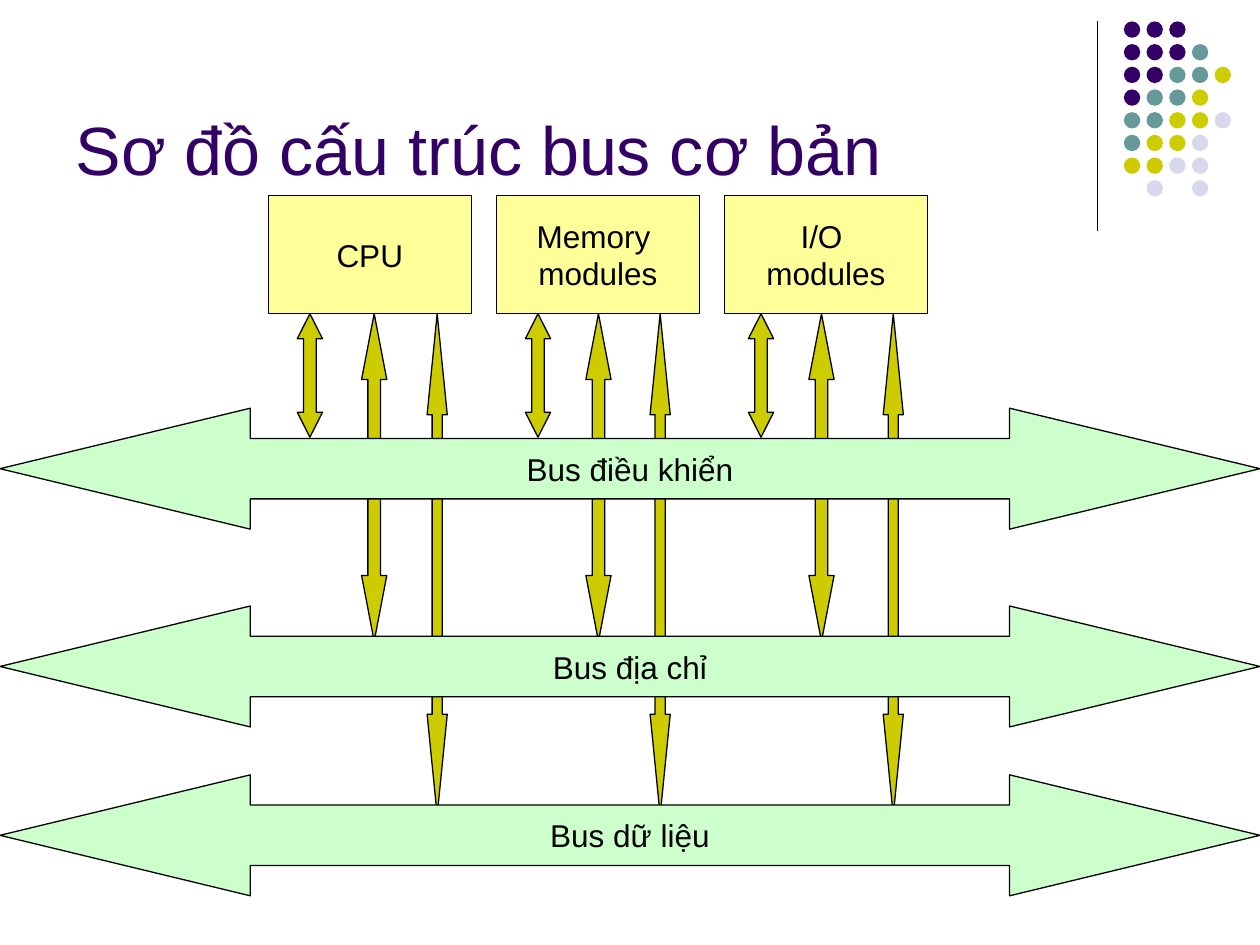
"""Build the slide on the basic bus structure of a computer."""
from dataclasses import dataclass

from lxml.etree import SubElement
from pptx import Presentation
from pptx.dml.color import RGBColor
from pptx.enum.shapes import MSO_CONNECTOR, MSO_SHAPE
from pptx.enum.text import MSO_ANCHOR, MSO_AUTO_SIZE, PP_ALIGN
from pptx.oxml.ns import qn
from pptx.util import Inches, Pt


@dataclass(frozen=True)
class Theme:
    """Colours, font and sizes."""
    font: str = "Arial"
    head: int = 39
    body: int = 18
    edge: float = 0.75
    ink: str = "000000"
    title: str = "330066"
    box: str = "FFFF99"
    bus: str = "CCFFCC"
    spoke: str = "CCCC00"


THEME = Theme()
WIDE, HIGH = 10, 7.5
TITLE = "Sơ đồ cấu trúc bus cơ bản"
MODULES = ["CPU", "Memory \nmodules", "I/O \nmodules"]
BUSES = [("Bus điều khiển", 3.24), ("Bus địa chỉ", 4.81), ("Bus dữ liệu", 6.15)]
SPOKES = {
    "control": dict(lefts=(2.36, 4.17, 5.94), size=(0.2, 0.98), tip=0.99),
    "address": dict(lefts=(2.87, 4.65, 6.42), size=(0.2, 2.6), tip=2.61),
    "data": dict(lefts=(3.39, 5.16, 7.01), size=(0.16, 3.98), tip=5.01),
}
DOTS = ["PPP", "PPPT", "PPTTY", "PTTY", "TTYYL", "TYYL", "YYLL", " L L"]
TINTS = {"P": "330066", "T": "669999", "Y": "CCCC00", "L": "D8D8EC"}
BOX = dict(left=2.13, top=1.55, wide=1.61, high=0.94, step=1.81)
DOT = dict(left=8.92, top=0.17, size=0.13, step=0.18)
BUS_HIGH, BUS_TIP, SHAFT = 0.96, 2.07, 0.5


def apply(obj, values):
    for name, value in values.items():
        setattr(obj, name, value)


def style(frame, size, color, align):
    for para in frame.paragraphs:
        para.alignment = align
        for run in para.runs:
            apply(run.font, dict(name=THEME.font, size=Pt(size)))
            run.font.color.rgb = RGBColor.from_string(color)


def set_tip(shape, tip):
    guides = shape.element.spPr.find(qn("a:prstGeom")).get_or_add_avLst()
    for guide in list(guides):
        guides.remove(guide)
    for name, share in (("adj1", SHAFT), ("adj2", tip)):
        SubElement(guides, qn("a:gd"), name=name,
                   fmla=f"val {round(share * 100000)}")


def draw(slide, kind, area, fill, text="", tip=None, edge=True):
    shape = slide.shapes.add_shape(kind, *map(Inches, area))
    shape.shadow.inherit = False
    shape.fill.solid()
    shape.fill.fore_color.rgb = RGBColor.from_string(fill)
    if edge:
        shape.line.width = Pt(THEME.edge)
        shape.line.color.rgb = RGBColor.from_string(THEME.ink)
    else:
        shape.line.fill.background()
    if tip:
        set_tip(shape, tip)
    if text:
        frame = shape.text_frame
        apply(frame, dict(text=text, word_wrap=False,
                          vertical_anchor=MSO_ANCHOR.MIDDLE))
        style(frame, THEME.body, THEME.ink, PP_ALIGN.CENTER)


def add_title(slide):
    title = slide.shapes.title
    apply(title, dict(left=Inches(0.5), top=Inches(0.13),
                      width=Inches(8.25), height=Inches(1.42)))
    apply(title.text_frame, dict(text=TITLE, word_wrap=True,
                                 auto_size=MSO_AUTO_SIZE.NONE,
                                 vertical_anchor=MSO_ANCHOR.BOTTOM))
    style(title.text_frame, THEME.head, THEME.title, PP_ALIGN.LEFT)


def add_decor(slide):
    ends = map(Inches, (8.71, 0.17, 8.71, 1.83))
    rule = slide.shapes.add_connector(MSO_CONNECTOR.STRAIGHT, *ends)
    rule.line.width = Pt(THEME.edge)
    rule.line.color.rgb = RGBColor.from_string(THEME.ink)
    SubElement(rule.element.spPr, qn("a:effectLst"))
    for row, marks in enumerate(DOTS):
        for col, mark in enumerate(marks):
            if mark in TINTS:
                area = (DOT["left"] + col * DOT["step"],
                        DOT["top"] + row * DOT["step"],
                        DOT["size"], DOT["size"])
                draw(slide, MSO_SHAPE.OVAL, area, TINTS[mark], edge=False)


def add_spokes(slide, name):
    spoke = SPOKES[name]
    for left in spoke["lefts"]:
        area = (left, BOX["top"] + BOX["high"], *spoke["size"])
        draw(slide, MSO_SHAPE.UP_DOWN_ARROW, area, THEME.spoke, tip=spoke["tip"])


def main():
    deck = Presentation()
    apply(deck, dict(slide_width=Inches(WIDE), slide_height=Inches(HIGH)))
    slide = deck.slides.add_slide(deck.slide_layouts[5])
    add_title(slide)
    add_decor(slide)
    add_spokes(slide, "data")
    add_spokes(slide, "address")
    for text, top in BUSES:
        draw(slide, MSO_SHAPE.LEFT_RIGHT_ARROW, (0, top, WIDE, BUS_HIGH),
             THEME.bus, text, BUS_TIP)
    for col, text in enumerate(MODULES):
        area = (BOX["left"] + col * BOX["step"], BOX["top"],
                BOX["wide"], BOX["high"])
        draw(slide, MSO_SHAPE.RECTANGLE, area, THEME.box, text)
    add_spokes(slide, "control")
    deck.save("out.pptx")


if __name__ == "__main__":
    main()
